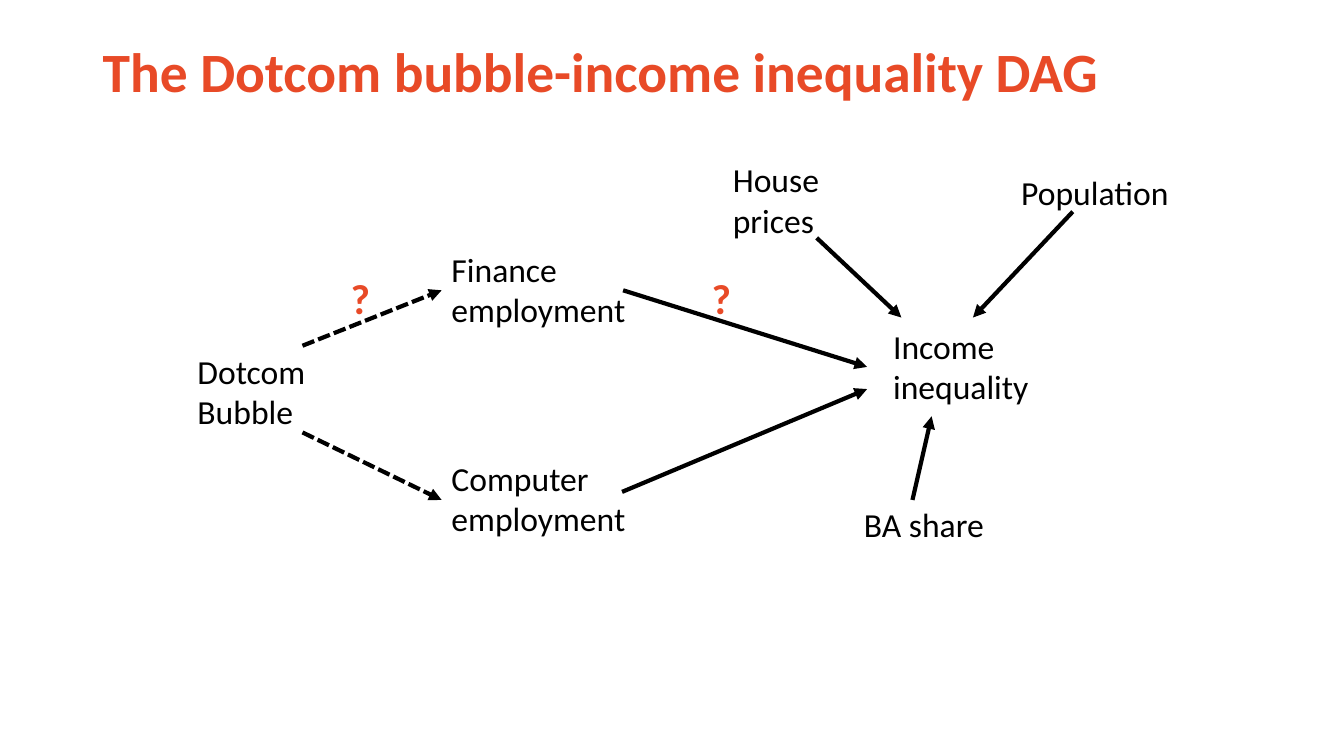
from lxml.etree import SubElement
from pptx import Presentation
from pptx.dml.color import RGBColor
from pptx.enum.dml import MSO_LINE
from pptx.enum.shapes import MSO_CONNECTOR
from pptx.enum.text import MSO_ANCHOR
from pptx.oxml.ns import qn
from pptx.util import Inches, Pt

COLORS = {"ink": "000000", "accent": "E84A27"}


class DiagramSlide:
    font_name = "Calibri"
    line_width = Pt(3)

    def __init__(self, slide):
        self.slide = slide

    def text(self, content, left, top, width, height, size=24, color="ink",
             bold=False, anchor=MSO_ANCHOR.TOP, line_spacing=1.0):
        shape = self.slide.shapes.add_textbox(
            Inches(left), Inches(top), Inches(width), Inches(height))
        frame = shape.text_frame
        for name, value in {"word_wrap": True, "vertical_anchor": anchor}.items():
            setattr(frame, name, value)
        frame.text = content
        font_format = {"name": self.font_name, "size": Pt(size), "bold": bold}
        for paragraph in frame.paragraphs:
            paragraph.line_spacing = line_spacing
            for run in paragraph.runs:
                for name, value in font_format.items():
                    setattr(run.font, name, value)
                run.font.color.rgb = RGBColor.from_string(COLORS[color])

    def title(self, content):
        self.text(content, 0.92, 0.38, 11.5, 0.71, size=39.6, color="accent",
                  bold=True, anchor=MSO_ANCHOR.MIDDLE, line_spacing=0.9)

    def node(self, content, left, top, width, height=0.91):
        self.text(content, left, top, width, height)

    def question(self, left, top):
        self.text("?", left, top, 0.49, 0.61, size=30, color="accent", bold=True)

    def arrow(self, start, end, dash=None):
        connector = self.slide.shapes.add_connector(
            MSO_CONNECTOR.STRAIGHT, *map(Inches, start + end))
        line = connector.line
        line.color.rgb = RGBColor.from_string(COLORS["ink"])
        for name, value in {"width": self.line_width, "dash_style": dash}.items():
            setattr(line, name, value)
        properties = connector.element.spPr
        SubElement(properties.find(qn("a:ln")), qn("a:tailEnd"), type="triangle")
        SubElement(properties, qn("a:effectLst"))


NODES = [
    ("Dotcom\nBubble", 1.86, 3.43, 1.28),
    ("Computer employment", 4.38, 4.49, 2.04),
    ("Finance employment", 4.38, 2.42, 2.04),
    ("Income inequality", 8.76, 3.18, 2.04),
    ("House\nprices", 7.17, 1.53, 1.31),
    ("Population", 10.03, 1.66, 1.75, 0.5),
    ("BA share", 8.47, 4.95, 1.75, 0.5),
]

ARROWS = [
    ((3, 3.43), (4.38, 2.88), MSO_LINE.SQUARE_DOT),
    ((3, 4.29), (4.38, 4.96), MSO_LINE.SQUARE_DOT),
    ((6.18, 2.88), (8.6, 3.64)),
    ((6.17, 4.88), (8.6, 3.86)),
    ((10.64, 2.1), (9.65, 3.15)),
    ((9.05, 4.96), (9.24, 4.13)),
    ((8.1, 2.36), (8.94, 3.15)),
]


def main():
    presentation = Presentation()
    presentation.slide_width = Inches(13.33)
    presentation.slide_height = Inches(7.5)
    slide = presentation.slides.add_slide(presentation.slide_layouts[6])
    diagram = DiagramSlide(slide)
    diagram.title("The Dotcom bubble-income inequality DAG")
    for node in NODES:
        diagram.node(*node)
    for arrow in ARROWS:
        diagram.arrow(*arrow)
    for left in (3.38, 6.96):
        diagram.question(left, 2.65)
    presentation.save("out.pptx")


if __name__ == "__main__":
    main()
